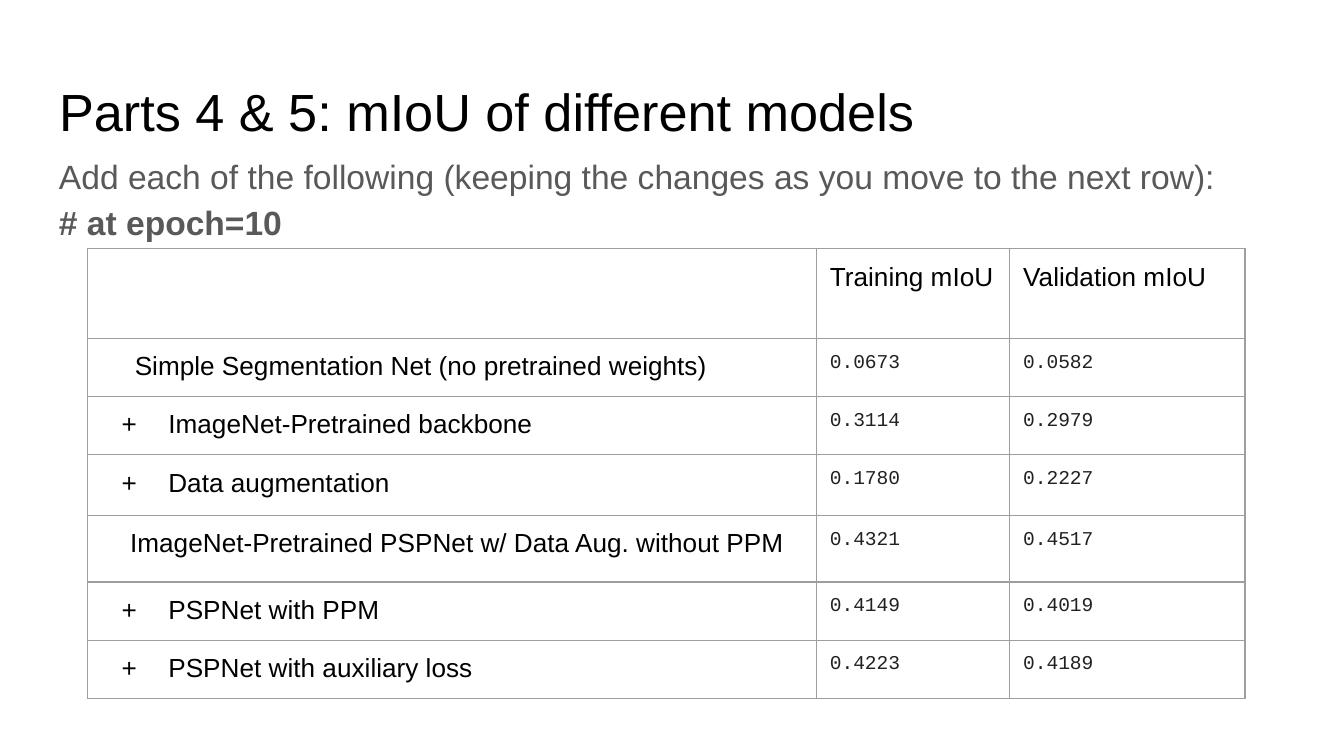
from itertools import product

from lxml import etree
from pptx import Presentation
from pptx.dml.color import RGBColor
from pptx.enum import text
from pptx.oxml.ns import qn
from pptx.util import Pt

TITLE = "Parts 4 & 5: mIoU of different models"
INTRO = "Add each of the following (keeping the changes as you move to the next row):"
EPOCH_NOTE = "# at epoch=10"
HEADINGS = ["", "Training mIoU", "Validation mIoU"]
# model, kind of indent, training mIoU, validation mIoU
RESULTS = [
    ("Simple Segmentation Net (no pretrained weights)", "base", "0.0673", "0.0582"),
    ("ImageNet-Pretrained backbone", "added", "0.3114", "0.2979"),
    ("Data augmentation", "added", "0.1780", "0.2227"),
    ("ImageNet-Pretrained PSPNet w/ Data Aug. without PPM", "pspnet", "0.4321", "0.4517"),
    ("PSPNet with PPM", "added", "0.4149", "0.4019"),
    ("PSPNet with auxiliary loss", "added", "0.4223", "0.4189"),
]
INDENTS = {"base": (18, 0), "added": (36, -25), "pspnet": (15.5, 0)}
COLORS = {"black": "000000", "intro": "595959", "score": "212121", "border": "9E9E9E"}
COLUMN_WIDTHS = [390.4, 103.6, 126]
ROW_HEIGHTS = [48, 31.2, 31.2, 32.5, 35.7, 31.2, 31.2]
INSET = 7.2


def write(paragraph, content, size=14, font="Arial", color="black", bold=False,
          spacing=1.0, indent=(0, 0), bullet=None):
    paragraph.alignment = text.PP_ALIGN.LEFT
    paragraph.line_spacing = spacing
    paragraph.space_before = paragraph.space_after = Pt(0)
    properties = paragraph._p.get_or_add_pPr()
    properties.set("marL", str(Pt(indent[0])))
    properties.set("indent", str(Pt(indent[1])))
    if bullet:
        bullet_color = etree.SubElement(properties, qn("a:buClr"))
        etree.SubElement(bullet_color, qn("a:srgbClr"), val=COLORS[color])
        etree.SubElement(properties, qn("a:buFont"), typeface=font)
        etree.SubElement(properties, qn("a:buChar"), char=bullet)
    run = paragraph.add_run()
    run.text = content
    run.font.size, run.font.name, run.font.bold = Pt(size), font, bold
    run.font.color.rgb = RGBColor.from_string(COLORS[color])


def prepare_frame(shape, left, top, width, height):
    shape.left, shape.top, shape.width, shape.height = map(Pt, (left, top, width, height))
    frame = shape.text_frame
    frame.word_wrap = True
    frame.auto_size = text.MSO_AUTO_SIZE.NONE
    frame.vertical_anchor = text.MSO_ANCHOR.TOP
    frame.margin_left = frame.margin_right = Pt(INSET)
    frame.margin_top = frame.margin_bottom = Pt(INSET)
    return frame


def format_cell(cell):
    cell.margin_left = cell.margin_right = cell.margin_top = cell.margin_bottom = Pt(INSET)
    properties = cell._tc.get_or_add_tcPr()
    for side in ("a:lnL", "a:lnR", "a:lnT", "a:lnB"):
        line = etree.SubElement(properties, qn(side), w=str(Pt(0.75)))
        fill = etree.SubElement(line, qn("a:solidFill"))
        etree.SubElement(fill, qn("a:srgbClr"), val=COLORS["border"])
    cell.fill.background()


prs = Presentation()
prs.slide_width, prs.slide_height = Pt(720), Pt(405)
slide = prs.slides.add_slide(prs.slide_layouts[5])

title_frame = prepare_frame(slide.shapes.title, 24.5, 35, 671, 45)
write(title_frame.paragraphs[0], TITLE, size=28)

intro_box = slide.shapes.add_textbox(0, 0, 0, 0)
intro_frame = prepare_frame(intro_box, 24.5, 73, 671, 269)
write(intro_frame.paragraphs[0], INTRO, size=18, color="intro", spacing=1.15)
write(intro_frame.add_paragraph(), EPOCH_NOTE, size=18, color="intro", bold=True, spacing=1.15)

results_frame = slide.shapes.add_table(
    len(ROW_HEIGHTS), len(COLUMN_WIDTHS), Pt(47), Pt(133.3),
    Pt(sum(COLUMN_WIDTHS)), Pt(sum(ROW_HEIGHTS)))
results = results_frame.table
results.first_row = results.horz_banding = False
for column, width in zip(results.columns, COLUMN_WIDTHS):
    column.width = Pt(width)
for row, height in zip(results.rows, ROW_HEIGHTS):
    row.height = Pt(height)
for row, column in product(range(len(ROW_HEIGHTS)), range(len(COLUMN_WIDTHS))):
    format_cell(results.cell(row, column))

for column, heading in enumerate(HEADINGS):
    if heading:
        write(results.cell(0, column).text_frame.paragraphs[0], heading)
for row, (model, kind, *scores) in enumerate(RESULTS, 1):
    write(results.cell(row, 0).text_frame.paragraphs[0], model,
          indent=INDENTS[kind], bullet="+" if kind == "added" else None)
    for column, score in enumerate(scores, 1):
        write(results.cell(row, column).text_frame.paragraphs[0], score,
              size=10.5, font="Courier New", color="score")

prs.save("out.pptx")
